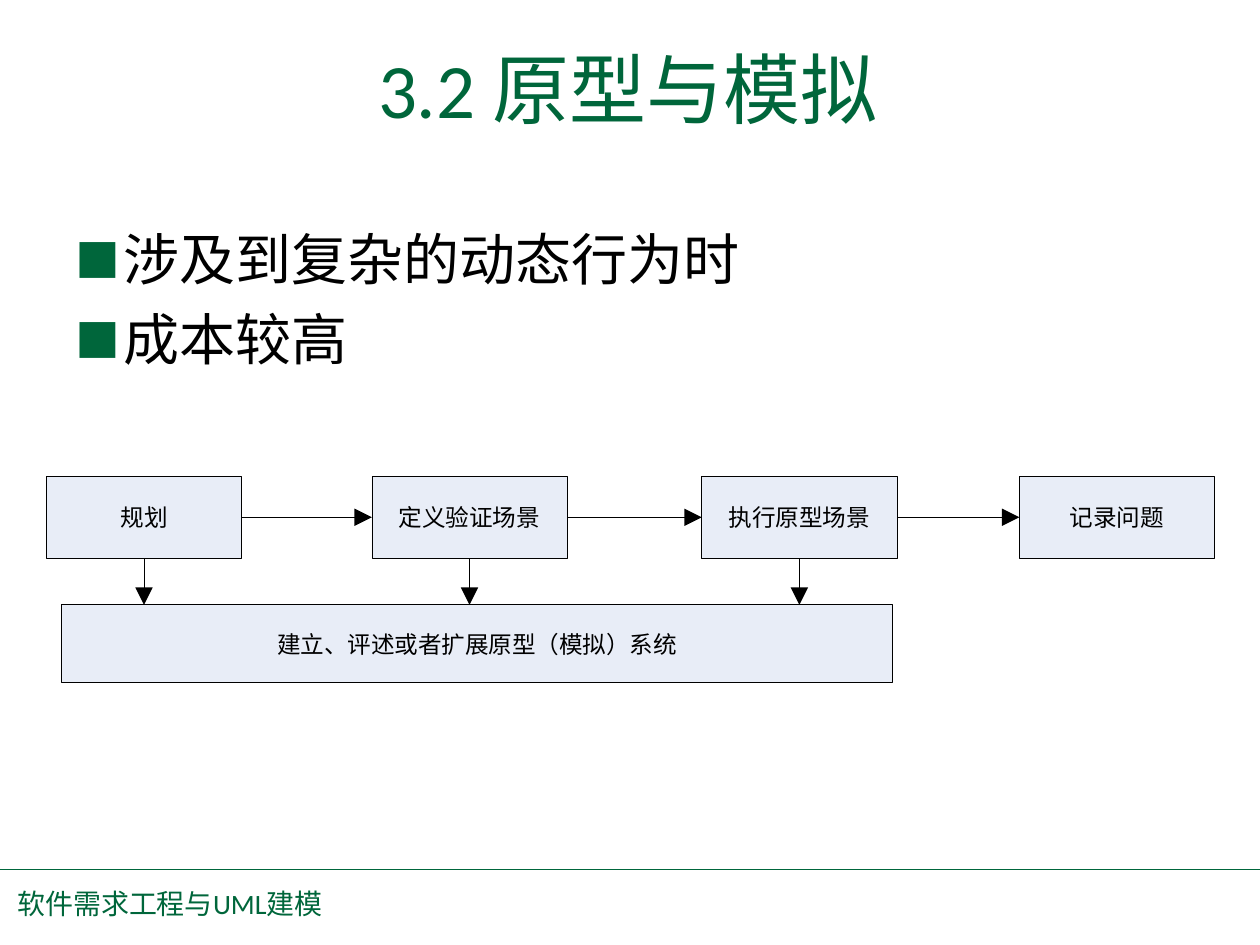
from dataclasses import dataclass

from lxml import etree
from pptx import Presentation
from pptx.dml.color import RGBColor
from pptx.enum.shapes import MSO_CONNECTOR, MSO_SHAPE
from pptx.enum.text import MSO_ANCHOR, MSO_AUTO_SIZE, PP_ALIGN
from pptx.oxml.ns import qn
from pptx.shapes.base import BaseShape
from pptx.slide import Slide
from pptx.text.text import TextFrame, _Run
from pptx.util import Pt

RECT = MSO_SHAPE.RECTANGLE
STRAIGHT = MSO_CONNECTOR.STRAIGHT
TOP, MIDDLE = MSO_ANCHOR.TOP, MSO_ANCHOR.MIDDLE
LEFT, CENTER = PP_ALIGN.LEFT, PP_ALIGN.CENTER
NO_FIT = MSO_AUTO_SIZE.NONE

LATIN, CJK = "Calibri", "Noto Sans CJK SC"
GREEN, BLACK, PALE = "00663B", "000000", "E8EDF7"
HAIRLINE = 0.4


@dataclass(frozen=True)
class Box:
    text: str
    x: float
    y: float
    w: float
    h: float

    @property
    def right(self) -> float:
        return self.x + self.w

    @property
    def bottom(self) -> float:
        return self.y + self.h

    @property
    def cx(self) -> float:
        return self.x + self.w / 2

    @property
    def cy(self) -> float:
        return self.y + self.h / 2


STEPS = [
    Box(text, x, 272.2, 111.6, 46.8)
    for text, x in [
        ("规划", 26.5),
        ("定义验证场景", 212.5),
        ("执行原型场景", 401),
        ("记录问题", 582.5),
    ]
]
SYSTEM = Box("建立、评述或者扩展原型（模拟）系统", 35.3, 345.6, 474.5, 44.6)


def color(value: str) -> RGBColor:
    return RGBColor.from_string(value)


def format_run(r: _Run, size: float, fill: str, face: str = CJK) -> None:
    r.font.size = Pt(size)
    r.font.color.rgb = color(fill)
    r.font.name = face
    ea = etree.SubElement(r.font._element, qn("a:ea"))
    ea.set("typeface", face)


def place(sp: BaseShape, x: float, y: float, w: float, h: float) -> None:
    sp.left, sp.top, sp.width, sp.height = Pt(x), Pt(y), Pt(w), Pt(h)


def set_frame(tf: TextFrame, anchor: MSO_ANCHOR, top: float = 0) -> None:
    tf.margin_left = tf.margin_right = tf.margin_bottom = 0
    tf.margin_top = Pt(top)
    tf.vertical_anchor = anchor
    tf.auto_size = NO_FIT
    tf.word_wrap = True


def add_title(s: Slide) -> None:
    sp = s.shapes.title
    place(sp, 216, 23, 288, 54.7)
    set_frame(sp.text_frame, TOP, 0.7)
    p = sp.text_frame.paragraphs[0]
    p.alignment = LEFT
    for text, face in [("3.2 ", LATIN), ("原型与模拟", CJK)]:
        r = p.add_run()
        r.text = text
        format_run(r, 44, GREEN, face)


def add_bullets(s: Slide, items: list[str]) -> None:
    sp = s.placeholders[1]
    place(sp, 42.5, 119.5, 381.6, 94.3)
    tf = sp.text_frame
    set_frame(tf, TOP, 8.6)
    tf.text = "\n".join(items)
    for i, p in enumerate(tf.paragraphs):
        p.space_before = Pt(7.7 if i else 0)
        pPr = p._p.get_or_add_pPr()
        pPr.set("marL", str(Pt(28)))
        pPr.set("indent", str(-Pt(27.4)))
        clr = etree.SubElement(pPr, qn("a:buClr"))
        etree.SubElement(clr, qn("a:srgbClr")).set("val", GREEN)
        etree.SubElement(pPr, qn("a:buSzPct")).set("val", "80000")
        etree.SubElement(pPr, qn("a:buFont")).set("typeface", CJK)
        etree.SubElement(pPr, qn("a:buChar")).set("char", "■")
        format_run(p.runs[0], 32, BLACK)


def add_box(s: Slide, box: Box) -> None:
    sp = s.shapes.add_shape(RECT, Pt(box.x), Pt(box.y), Pt(box.w), Pt(box.h))
    sp.shadow.inherit = False
    sp.fill.solid()
    sp.fill.fore_color.rgb = color(PALE)
    sp.line.color.rgb = color(BLACK)
    sp.line.width = Pt(HAIRLINE)
    tf = sp.text_frame
    set_frame(tf, MIDDLE)
    tf.text = box.text
    p = tf.paragraphs[0]
    p.alignment = CENTER
    format_run(p.runs[0], 13.5, BLACK)


def add_line(s: Slide, x1: float, y1: float, x2: float, y2: float,
             stroke: str, width: float, arrow: bool = False) -> None:
    sp = s.shapes.add_connector(STRAIGHT, Pt(x1), Pt(y1), Pt(x2), Pt(y2))
    sp.line.color.rgb = color(stroke)
    sp.line.width = Pt(width)
    if arrow:
        tail = etree.SubElement(sp.line._get_or_add_ln(), qn("a:tailEnd"))
        for key, value in [("type", "triangle"), ("w", "lg"), ("len", "lg")]:
            tail.set(key, value)
    etree.SubElement(sp._element.spPr, qn("a:effectLst"))


def add_footer(s: Slide) -> None:
    add_line(s, 0, 496.8, 720, 496.8, GREEN, 1)
    sp = s.shapes.add_textbox(Pt(10), Pt(509), Pt(176.4), Pt(19.4))
    set_frame(sp.text_frame, TOP)
    p = sp.text_frame.paragraphs[0]
    p.line_spacing = Pt(17)
    for text, face in [("软件需求工程与", CJK), ("UML", LATIN), ("建模", CJK)]:
        r = p.add_run()
        r.text = text
        format_run(r, 16, GREEN, face)


def main() -> None:
    prs = Presentation()
    prs.slide_width, prs.slide_height = Pt(720), Pt(540)
    s = prs.slides.add_slide(prs.slide_layouts[1])
    add_title(s)
    add_bullets(s, ["涉及到复杂的动态行为时", "成本较高"])
    for box in [*STEPS, SYSTEM]:
        add_box(s, box)
    for a, b in zip(STEPS, STEPS[1:]):
        add_line(s, a.right, a.cy, b.x, b.cy, BLACK, HAIRLINE, True)
        add_line(s, a.cx, a.bottom, a.cx, SYSTEM.y, BLACK, HAIRLINE, True)
    add_footer(s)
    prs.save("out.pptx")


if __name__ == "__main__":
    main()
